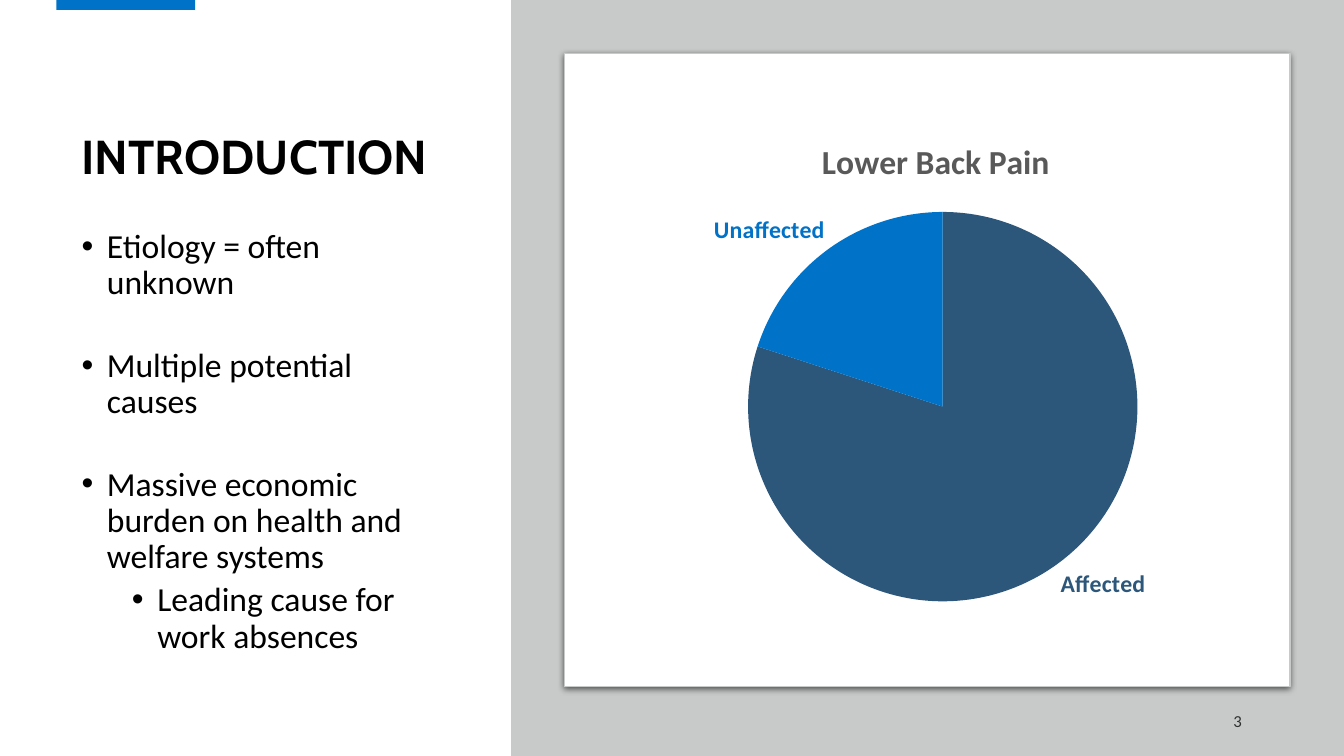
from dataclasses import dataclass
from lxml import etree
from pptx import Presentation, util as u
from pptx.chart.data import CategoryChartData
from pptx.dml.color import RGBColor
from pptx.enum import chart as ch, shapes, text
from pptx.oxml import parse_xml
from pptx.oxml.ns import nsdecls, qn


@dataclass(frozen=True)
class Theme:
    ink: str = "000000"
    white: str = "FFFFFF"
    blue: str = "0072C7"
    navy: str = "2C567A"
    grey: str = "C8CACA"
    head: str = "595959"
    foot: str = "303030"
    bold: str = "Cabin"
    body: str = "Calibri"
    title: int = 34
    list: int = 24
    label: int = 17
    small: int = 12
    base: int = 10


T = Theme()
WIDE, HIGH = 33.87, 19.05
BULLETS = [
    ("Etiology = often unknown", 0, 0),
    ("Multiple potential causes", 0, 33),
    ("Massive economic burden on health and welfare systems", 0, 33),
    ("Leading cause for work absences", 1, 5),
]


def place(shape, x, y, w, h):
    shape.left, shape.top = u.Cm(x), u.Cm(y)
    shape.width, shape.height = u.Cm(w), u.Cm(h)


def style(font, name, size, color, bold=False):
    font.name, font.size, font.bold = name, u.Pt(size), bold
    font.color.rgb = RGBColor.from_string(color)


def block(slide, kind, color, x, y, w, h):
    shape = slide.shapes.add_shape(kind, u.Cm(x), u.Cm(y), u.Cm(w), u.Cm(h))
    shape.shadow.inherit = False
    shape.fill.solid()
    shape.fill.fore_color.rgb = RGBColor.from_string(color)
    shape.line.fill.background()
    return shape


def shade(shape):
    effects = shape._element.spPr.find(qn("a:effectLst"))
    effects.append(parse_xml(
        f'<a:outerShdw {nsdecls("a")} blurRad="57150" dist="19050" dir="5400000" '
        f'algn="ctr" rotWithShape="0"><a:srgbClr val="{T.ink}">'
        '<a:alpha val="63000"/></a:srgbClr></a:outerShdw>'))


def bullet(para, level):
    props = para._p.get_or_add_pPr()
    props.set("marL", str(u.Cm(0.64 + 1.27 * level)))
    props.set("indent", str(-u.Cm(0.64)))
    etree.SubElement(props, qn("a:buChar")).set("char", "•")


def intro(slide, x, y, w, h):
    block(slide, shapes.MSO_SHAPE.RECTANGLE, T.blue, x + 1.42, y - 0.05, 3.5, 0.3)
    title = slide.shapes.title
    place(title, x + 1.8, y + 1.75, w - 3.15, 4.5)
    frame = title.text_frame
    frame.text = "INTRODUCTION"
    frame.auto_size = text.MSO_AUTO_SIZE.NONE
    frame.vertical_anchor = text.MSO_ANCHOR.MIDDLE
    para = frame.paragraphs[0]
    para.alignment, para.line_spacing = text.PP_ALIGN.LEFT, 0.9
    style(para.font, T.bold, T.title, T.ink, True)

    body = slide.placeholders[1]
    place(body, x + 1.8, y + 5.66, w - 3.15, h - 7.42)
    frame = body.text_frame
    frame.auto_size = text.MSO_AUTO_SIZE.NONE
    for i, (words, level, gap) in enumerate(BULLETS):
        para = frame.add_paragraph() if i else frame.paragraphs[0]
        para.text, para.level = words, level
        para.line_spacing, para.space_before = 0.9, u.Pt(gap)
        bullet(para, level)
        style(para.font, T.body, T.list, T.ink)


def layout(x, y, w=None, h=None):
    parts = [("xMode", "edge"), ("yMode", "edge"), ("x", x), ("y", y)]
    if w:
        parts = [("layoutTarget", "inner"), *parts, ("w", w), ("h", h)]
    inner = "".join(f'<c:{tag} val="{val}"/>' for tag, val in parts)
    return parse_xml(f'<c:layout {nsdecls("c")}><c:manualLayout>{inner}'
                     '</c:manualLayout></c:layout>')


def pie(slide, x, y, w, h):
    data = CategoryChartData()
    data.categories = ["Affected", "Unaffected"]
    data.add_series("Lower Back Pain", (80, 20))
    chart = slide.shapes.add_chart(
        ch.XL_CHART_TYPE.PIE, u.Cm(x), u.Cm(y), u.Cm(w), u.Cm(h), data).chart
    style(chart.font, T.body, T.base, T.ink)
    chart.has_legend = False
    chart.has_title = True
    frame = chart.chart_title.text_frame
    frame.text = "Lower Back Pain"
    style(frame.paragraphs[0].font, T.body, T.list, T.head, True)

    plot = chart.plots[0]
    plot.vary_by_categories = True
    series = plot.series[0]
    labels = series.data_labels
    labels.show_value, labels.show_category_name = False, True
    labels.position = ch.XL_LABEL_POSITION.OUTSIDE_END
    style(labels.font, T.body, T.label, T.navy, True)
    for i, color in enumerate((T.navy, T.blue)):
        point = series.points[i]
        point.format.fill.solid()
        point.format.fill.fore_color.rgb = RGBColor.from_string(color)
        style(point.data_label.font, T.body, T.label, color, True)
        point.data_label.position = ch.XL_LABEL_POSITION.OUTSIDE_END

    root = chart._chartSpace
    for tag, val in (("showVal", "0"), ("showCatName", "1")):
        for node in root.xpath(f".//c:dLbl/c:{tag}"):
            node.set("val", val)
    for path, node in (("c:title", layout(0.32, 0.05)),
                       ("c:plotArea", layout(0.21, 0.2, 0.63, 0.74))):
        area = root.xpath(f"c:chart/{path}")[0]
        for old in area.findall(qn("c:layout")):
            area.remove(old)
        area.insert(1 if path == "c:title" else 0, node)


def panel(slide, x, y, w, h):
    block(slide, shapes.MSO_SHAPE.RECTANGLE, T.grey, x, y, w, h)
    card = block(slide, shapes.MSO_SHAPE.ROUNDED_RECTANGLE, T.white,
                 x + 1.34, y + 1.35, w - 2.7, h - 3.1)
    card.adjustments[0] = 0
    card.line.color.rgb = RGBColor.from_string(T.grey)
    card.line.width = u.Pt(0.75)
    shade(card)
    pie(slide, x + 2.69, y + 2.69, w - 5.39, h - 5.79)

    box = slide.shapes.add_textbox(
        u.Cm(x + 11.05), u.Cm(y + h - 1.4), u.Cm(7.62), u.Cm(1.02))
    frame = box.text_frame
    frame.word_wrap = True
    frame.vertical_anchor = text.MSO_ANCHOR.MIDDLE
    frame.text = "3"
    para = frame.paragraphs[0]
    para.alignment, para.space_after = text.PP_ALIGN.RIGHT, u.Pt(6)
    style(para.font, T.body, T.small, T.foot)


def main():
    deck = Presentation()
    deck.slide_width, deck.slide_height = u.Cm(WIDE), u.Cm(HIGH)
    slide = deck.slides.add_slide(deck.slide_layouts[1])
    split = 12.88
    intro(slide, 0, 0, split, HIGH)
    panel(slide, split, 0, WIDE - split, HIGH)
    deck.save("out.pptx")


if __name__ == "__main__":
    main()
